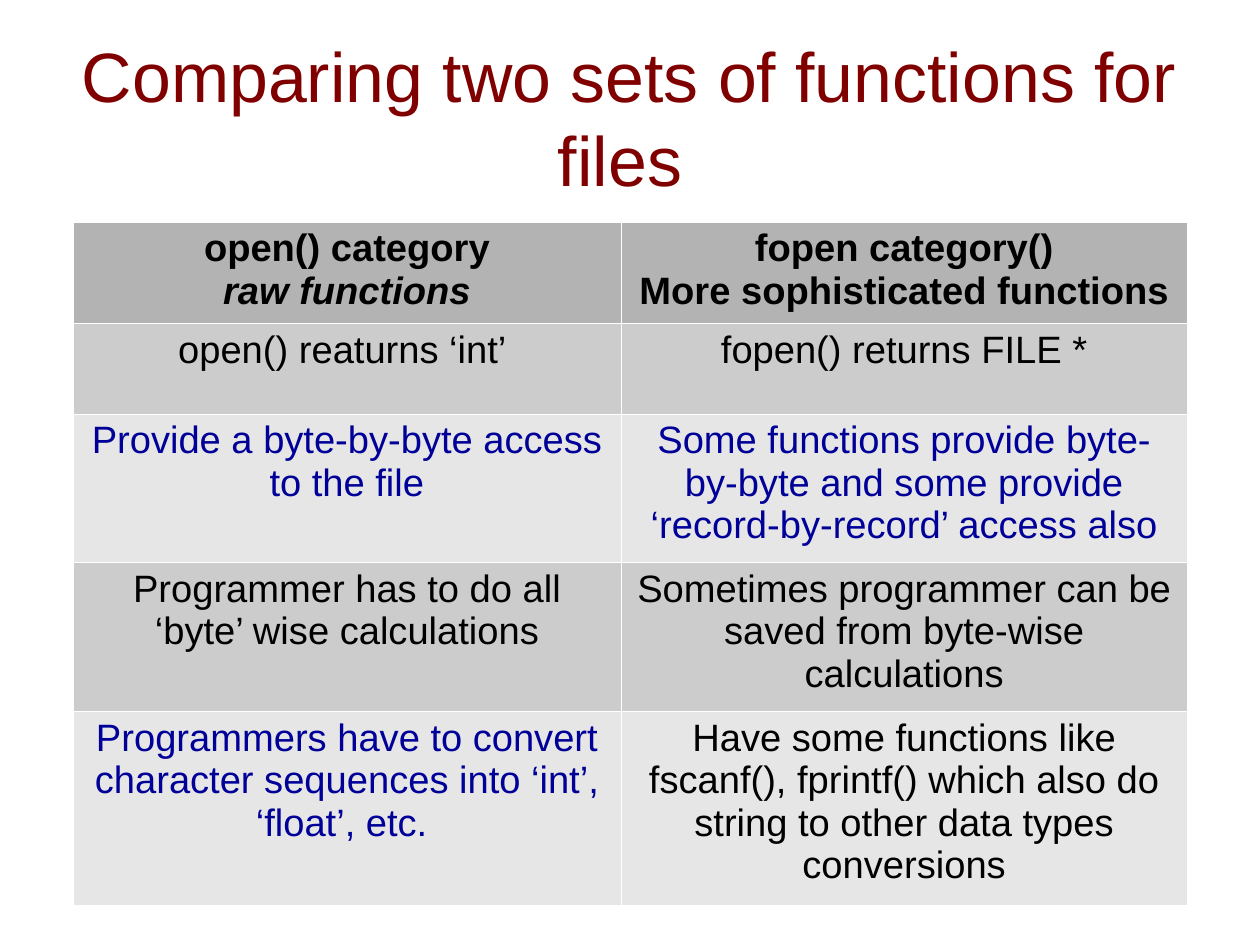
from pptx import Presentation
from pptx.dml.color import RGBColor
from pptx.enum.text import MSO_ANCHOR, PP_ALIGN
from pptx.oxml import parse_xml
from pptx.oxml.ns import nsdecls
from pptx.util import Inches, Pt

CENTER = PP_ALIGN.CENTER
MIDDLE = MSO_ANCHOR.MIDDLE

MAROON = RGBColor(0x80, 0x00, 0x00)
BLACK = RGBColor(0x00, 0x00, 0x00)
NAVY = RGBColor(0x00, 0x00, 0x99)
HEADER_GRAY = RGBColor(0xB3, 0xB3, 0xB3)
DARK_BAND = RGBColor(0xCC, 0xCC, 0xCC)
LIGHT_BAND = RGBColor(0xE6, 0xE6, 0xE6)

# Content
TITLE = "Comparing two sets of functions for files "
HEADERS = [
    [("open() category", False), ("raw functions", True)],
    [("fopen category()", False), ("More sophisticated functions", False)],
]
COMPARISONS = [
    [("open() reaturns ‘int’ ", BLACK), ("fopen() returns FILE *", BLACK)],
    [("Provide a byte-by-byte access to the file", NAVY),
     ("Some functions provide byte-by-byte and some provide "
      "‘record-by-record’ access also", NAVY)],
    [("Programmer has to do all ‘byte’ wise calculations", BLACK),
     ("Sometimes programmer can be saved from byte-wise calculations", BLACK)],
    [("Programmers have to convert character sequences into ‘int’, "
      "‘float’, etc. ", NAVY),
     ("Have some functions like fscanf(), fprintf() which also do string "
      "to other data types conversions", BLACK)],
]

# Layout in inches; the page is 28 by 21 cm
CM_PER_INCH = 2.54
SLIDE_WIDTH = 28 / CM_PER_INCH
SLIDE_HEIGHT = 21 / CM_PER_INCH
TITLE_BOX = (0.55, 0.33, 9.92, 1.38)
TABLE_LEFT, TABLE_TOP = 0.64, 1.94
COLUMN_WIDTHS = [4.79, 4.96]
ROW_HEIGHTS = [0.89, 0.79, 1.3, 1.3, 1.7]


def write_paragraph(para, text, color, **font_format):
    para.alignment = CENTER
    span = para.add_run()
    span.text = text
    span.font.name = "Arial"
    span.font.color.rgb = color
    for name, value in font_format.items():
        setattr(span.font, name, value)


def fill_cell(cell, fill_color, lines):
    cell.fill.solid()
    cell.fill.fore_color.rgb = fill_color
    frame = cell.text_frame
    for index, (text, font_format) in enumerate(lines):
        para = frame.add_paragraph() if index else frame.paragraphs[0]
        write_paragraph(para, text, size=Pt(24), **font_format)
    # Thin white borders go before the fill in the cell properties
    properties = cell._tc.get_or_add_tcPr()
    for position, side in enumerate(("lnL", "lnR", "lnT", "lnB")):
        properties.insert(position, parse_xml(
            f'<a:{side} {nsdecls("a")} w="762"><a:solidFill>'
            f'<a:srgbClr val="FFFFFF"/></a:solidFill></a:{side}>'))


def add_title(page):
    box = page.shapes.title
    box.left, box.top, box.width, box.height = map(Inches, TITLE_BOX)
    frame = box.text_frame
    frame_format = dict(margin_left=0, margin_top=0, margin_right=0,
                        margin_bottom=0, word_wrap=True,
                        vertical_anchor=MIDDLE)
    for name, value in frame_format.items():
        setattr(frame, name, value)
    write_paragraph(frame.paragraphs[0], TITLE, MAROON, size=Pt(44))


def add_comparison_table(page):
    table = page.shapes.add_table(
        len(ROW_HEIGHTS), len(COLUMN_WIDTHS),
        Inches(TABLE_LEFT), Inches(TABLE_TOP),
        Inches(sum(COLUMN_WIDTHS)), Inches(sum(ROW_HEIGHTS))).table
    for column, width in zip(table.columns, COLUMN_WIDTHS):
        column.width = Inches(width)
    for row, height in zip(table.rows, ROW_HEIGHTS):
        row.height = Inches(height)

    # Header row
    for column, header in enumerate(HEADERS):
        lines = [(text, dict(color=BLACK, bold=True, italic=italic))
                 for text, italic in header]
        fill_cell(table.cell(0, column), HEADER_GRAY, lines)

    # Banded body rows
    for row, comparison in enumerate(COMPARISONS, start=1):
        band = DARK_BAND if row % 2 else LIGHT_BAND
        for column, (text, color) in enumerate(comparison):
            lines = [(text, dict(color=color, bold=False))]
            fill_cell(table.cell(row, column), band, lines)


def main():
    deck = Presentation()
    deck.slide_width = Inches(SLIDE_WIDTH)
    deck.slide_height = Inches(SLIDE_HEIGHT)
    page = deck.slides.add_slide(deck.slide_layouts[5])
    add_title(page)
    add_comparison_table(page)
    deck.save("out.pptx")


if __name__ == "__main__":
    main()
